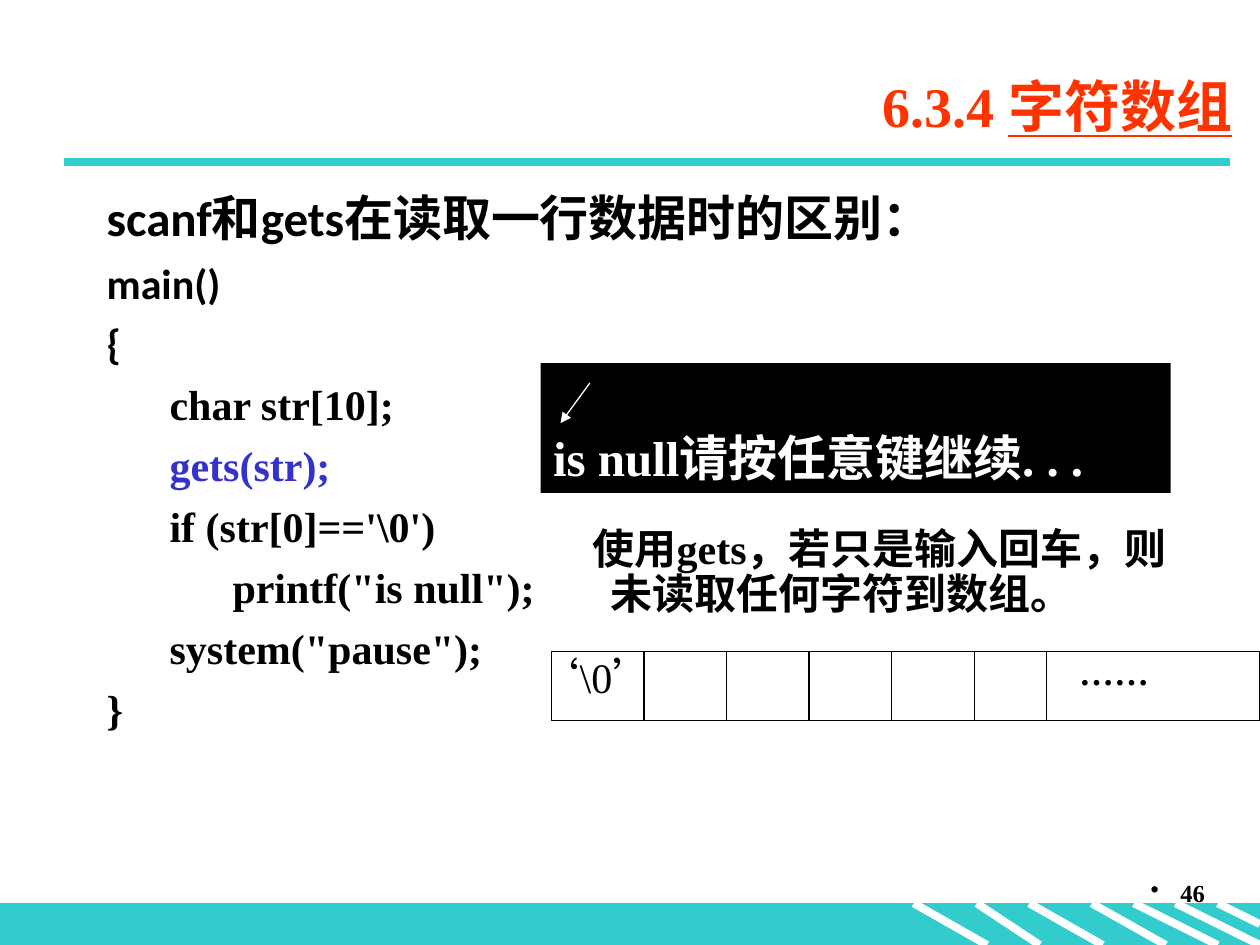
import pptx
import pptx.util
import pptx.dml.color
import pptx.enum.shapes
import pptx.enum.text
import pptx.oxml.ns
import lxml.etree

Cm, Pt = pptx.util.Cm, pptx.util.Pt
RGB = pptx.dml.color.RGBColor
Align = pptx.enum.text.PP_ALIGN
Anchor = pptx.enum.text.MSO_ANCHOR
qn = pptx.oxml.ns.qn

TEAL = RGB(0x33, 0xCC, 0xCC)
RED = RGB(0xFF, 0x33, 0x00)
BLUE = RGB(0x33, 0x33, 0xCC)
BLACK = RGB(0, 0, 0)
WHITE = RGB(0xFF, 0xFF, 0xFF)
TIMES, CALI, HAN = "Times New Roman", "Calibri", "Noto Sans CJK SC"


def write(par, text, size=24, font=TIMES, color=BLACK, bold=True, under=None):
    """Add one formatted run to a paragraph."""
    run = par.add_run()
    run.text = text
    face = run.font
    face.size, face.name, face.bold = Pt(size), font, bold
    face.underline = under
    face.color.rgb = color
    east = lxml.etree.Element(qn("a:ea"), typeface=HAN)
    run.font._element.find(qn("a:latin")).addnext(east)


def indent(par, left, first=0, bullet=None):
    """Set the left margin, first-line indent and bullet."""
    props = par._p.get_or_add_pPr()
    props.set("marL", str(Cm(left)))
    props.set("indent", str(Cm(first)))
    if bullet:
        lxml.etree.SubElement(props, qn("a:buChar"), char=bullet)


class Page:
    def __init__(self, deck):
        self.slide = deck.slides.add_slide(deck.slide_layouts[5])
        self.shapes = self.slide.shapes

    def title(self, x, y, w, h):
        box = self.shapes.title
        box.left, box.top, box.width, box.height = Cm(x), Cm(y), Cm(w), Cm(h)
        frame = box.text_frame
        frame.auto_size = pptx.enum.text.MSO_AUTO_SIZE.NONE
        frame.vertical_anchor = Anchor.MIDDLE
        frame.paragraphs[0].alignment = Align.RIGHT
        return frame.paragraphs[0]

    def rect(self, x, y, w, h, fill, edge=None):
        kind = pptx.enum.shapes.MSO_SHAPE.RECTANGLE
        box = self.shapes.add_shape(kind, Cm(x), Cm(y), Cm(w), Cm(h))
        box.shadow.inherit = False
        box.fill.solid()
        box.fill.fore_color.rgb = fill
        if edge is None:
            box.line.fill.background()
        else:
            box.line.color.rgb = edge
            box.line.width = Pt(0.75)
        return box.text_frame

    def line(self, x1, y1, x2, y2, color=BLACK, width=0.75, arrow=False):
        kind = pptx.enum.shapes.MSO_CONNECTOR.STRAIGHT
        rule = self.shapes.add_connector(kind, Cm(x1), Cm(y1), Cm(x2), Cm(y2))
        rule.line.color.rgb = color
        rule.line.width = Pt(width)
        if arrow:
            lxml.etree.SubElement(rule.line._get_or_add_ln(),
                                  qn("a:tailEnd"), type="triangle")
        lxml.etree.SubElement(rule._element.spPr, qn("a:effectLst"))

    def text(self, x, y, w, h):
        box = self.shapes.add_textbox(Cm(x), Cm(y), Cm(w), Cm(h))
        box.text_frame.word_wrap = True
        return box.text_frame


def main():
    deck = pptx.Presentation()
    deck.slide_width, deck.slide_height = Cm(25.4), Cm(19.05)
    page = Page(deck)

    # Footer band with slanted stripes
    top, end = 18.21, 19.05
    page.rect(0, top, 25.4, end - top, TEAL, TEAL)
    stripes = [(18.42, 19.9), (19.69, 20.96), (20.75, 22.23), (22.01, 23.5),
               (22.86, 24.55), (23.7, 25.4)]
    for x1, x2 in stripes:
        page.line(x1, top, x2, end, WHITE, 4.5)
    page.line(24.55, top, 25.4, 18.63, WHITE, 4.5)

    # Page number
    par = page.text(19.25, 17.58, 5.29, 0.8).paragraphs[0]
    par.alignment = Align.RIGHT
    indent(par, 0.6, -0.6, "•")
    write(par, "46", size=14)

    # Title and rule
    par = page.title(3.5, 1.12, 21.6, 2)
    write(par, "6.3.4 ", size=32, color=RED)
    write(par, "字符数组", size=32, color=RED, under=True)
    page.line(1.3, 3.27, 24.8, 3.27, TEAL, 4.5)

    # Program listing: text, level, format
    code = [
        ("scanf和gets在读取一行数据时的区别：", 0, {"size": 28, "font": CALI}),
        ("main()", 0, {"font": CALI}),
        ("{", 0, {"font": CALI}),
        ("char str[10];", 1, {}),
        ("gets(str);", 1, {"color": BLUE}),
        ("if (str[0]=='\\0')", 1, {}),
        ("      printf(\"is null\");", 1, {}),
        ("system(\"pause\");", 1, {}),
        ("}", 0, {}),
    ]
    frame = page.text(1.9, 3.66, 21.6, 13.86)
    for i, (text, level, style) in enumerate(code):
        par = frame.add_paragraph() if i else frame.paragraphs[0]
        indent(par, 1.27 * level)
        if i:
            par.space_before = Pt(6)
        write(par, text, **style)

    # Console output
    frame = page.rect(10.9, 7.32, 12.7, 2.62, BLACK)
    frame.word_wrap = True
    frame.vertical_anchor = Anchor.BOTTOM
    par = frame.paragraphs[0]
    par.alignment = Align.LEFT
    par.line_spacing = 0.9
    write(par, "is null请按任意键继续. . .", size=28, color=WHITE)
    page.line(11.89, 7.72, 11.3, 8.53, WHITE, arrow=True)

    # Remark
    par = page.text(11.1, 10.52, 12.9, 2.08).paragraphs[0]
    par.line_spacing = 0.9
    indent(par, 0.95, -0.35)
    write(par, "使用gets，若只是输入回车，则未读取任何字符到数组。")

    # Array cells
    top, end = 13.13, 14.53
    page.rect(11.12, top, 14.28, end - top, WHITE, BLACK)
    for x in [12.98 + 1.665 * i for i in range(5)] + [21.09]:
        page.line(x, top, x, end)
    par = page.text(10.59, top, 3.3, 1.17).paragraphs[0]
    par.line_spacing = 0.9
    for mark, font in (("‘", HAN), ("\\0", TIMES), ("’", HAN)):
        write(par, mark, font=font, bold=False)
    par = page.text(21.51, 13.31, 3.53, 1.02).paragraphs[0]
    par.line_spacing = 0.9
    write(par, "……", size=20, font=HAN)

    deck.save("out.pptx")


if __name__ == "__main__":
    main()
